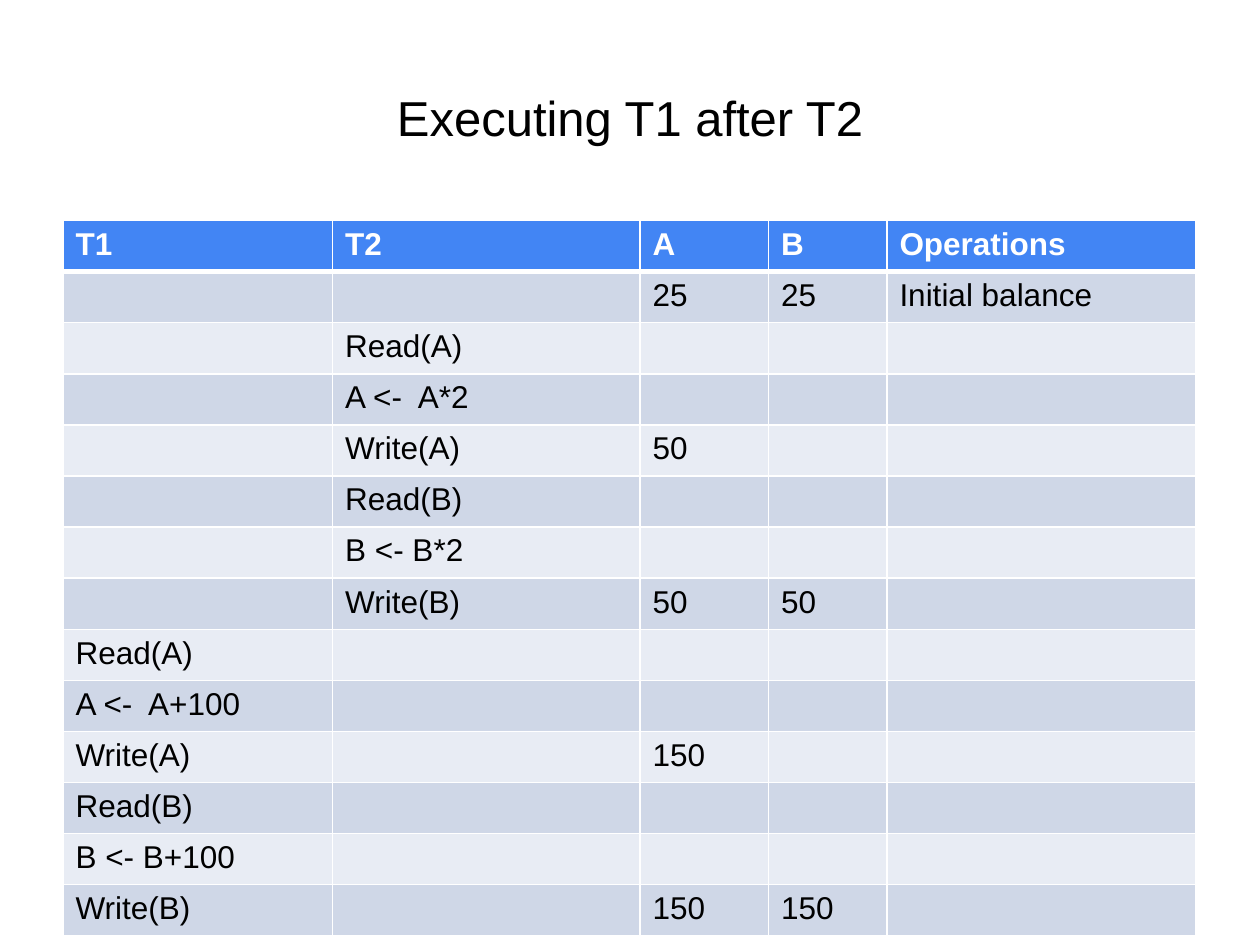
from typing import NamedTuple

from lxml.etree import SubElement
from pptx import Presentation
from pptx.dml.color import RGBColor
from pptx.enum.text import MSO_ANCHOR, PP_ALIGN
from pptx.oxml.ns import qn
from pptx.util import Inches, Pt

COLORS = {
    "black": "000000",
    "white": "FFFFFF",
    "header": "4285F4",
    "odd row": "CFD7E7",
    "even row": "E8ECF4",
}
FONT = "Arial"
SLIDE_WIDTH, SLIDE_HEIGHT = Inches(10), Inches(7.5)
MARGIN = 0.05 * SLIDE_WIDTH
TABLE_TOP = Inches(1.75)
TABLE_HEIGHT = Inches(5.68)
COLUMN_WIDTHS = (2.14, 2.44, 1.02, 0.94, 2.45)
HEADINGS = ("T1", "T2", "A", "B", "Operations")


class Step(NamedTuple):
    """One row of the schedule, in the order of the headings."""
    t1: str = ""
    t2: str = ""
    a: str = ""
    b: str = ""
    operations: str = ""


class CellStyle(NamedTuple):
    fill: str
    text: str
    bold: bool
    bottom_border: float


STEPS = (
    Step(a="25", b="25", operations="Initial balance"),
    Step(t2="Read(A)"),
    Step(t2="A <-  A*2"),
    Step(t2="Write(A)", a="50"),
    Step(t2="Read(B)"),
    Step(t2="B <- B*2"),
    Step(t2="Write(B)", a="50", b="50"),
    Step(t1="Read(A)"),
    Step(t1="A <-  A+100"),
    Step(t1="Write(A)", a="150"),
    Step(t1="Read(B)"),
    Step(t1="B <- B+100"),
    Step(t1="Write(B)", a="150", b="150"),
)
HEADER_STYLE = CellStyle("header", "white", True, 3)
ROW_STYLES = (
    CellStyle("even row", "black", False, 1),
    CellStyle("odd row", "black", False, 1),
)


def format_paragraph(paragraph, size: float, color: str, bold: bool = False) -> None:
    font = paragraph.font
    font.name, font.size, font.bold = FONT, Pt(size), bold
    font.color.rgb = RGBColor.from_string(COLORS[color])


def add_borders(cell, top: float, bottom: float) -> None:
    properties = cell._tc.get_or_add_tcPr()
    for side, width in {"L": 1, "R": 1, "T": top, "B": bottom}.items():
        line = SubElement(properties, qn(f"a:ln{side}"), w=str(Pt(width)))
        fill = SubElement(line, qn("a:solidFill"))
        SubElement(fill, qn("a:srgbClr"), val=COLORS["white"])


def fill_cell(cell, text: str, style: CellStyle, top_border: float) -> None:
    add_borders(cell, top_border, style.bottom_border)
    cell.fill.solid()
    cell.fill.fore_color.rgb = RGBColor.from_string(COLORS[style.fill])
    cell.text = text
    format_paragraph(cell.text_frame.paragraphs[0], 18, style.text, style.bold)


def add_title(slide, text: str) -> None:
    title = slide.shapes.title
    title.left, title.top = int(MARGIN), int(0.04 * SLIDE_HEIGHT)
    title.width, title.height = int(0.9 * SLIDE_WIDTH), Inches(1.25)
    title.text_frame.text = text
    title.text_frame.vertical_anchor = MSO_ANCHOR.MIDDLE
    paragraph = title.text_frame.paragraphs[0]
    paragraph.alignment = PP_ALIGN.CENTER
    format_paragraph(paragraph, 28, "black")


def add_schedule(slide) -> None:
    rows = (HEADINGS, *STEPS)
    table = slide.shapes.add_table(
        len(rows), len(HEADINGS), int(MARGIN), TABLE_TOP,
        Inches(sum(COLUMN_WIDTHS)), TABLE_HEIGHT,
    ).table
    for column, width in zip(table.columns, COLUMN_WIDTHS):
        column.width = Inches(width)
    top_border = 1
    for row_index, texts in enumerate(rows):
        style = ROW_STYLES[row_index % 2] if row_index else HEADER_STYLE
        for column_index, text in enumerate(texts):
            fill_cell(table.cell(row_index, column_index), text, style, top_border)
        top_border = style.bottom_border


def main() -> None:
    presentation = Presentation()
    presentation.slide_width, presentation.slide_height = SLIDE_WIDTH, SLIDE_HEIGHT
    slide = presentation.slides.add_slide(presentation.slide_layouts.get_by_name("Title Only"))
    add_title(slide, "Executing T1 after T2")
    add_schedule(slide)
    presentation.save("out.pptx")


if __name__ == "__main__":
    main()
